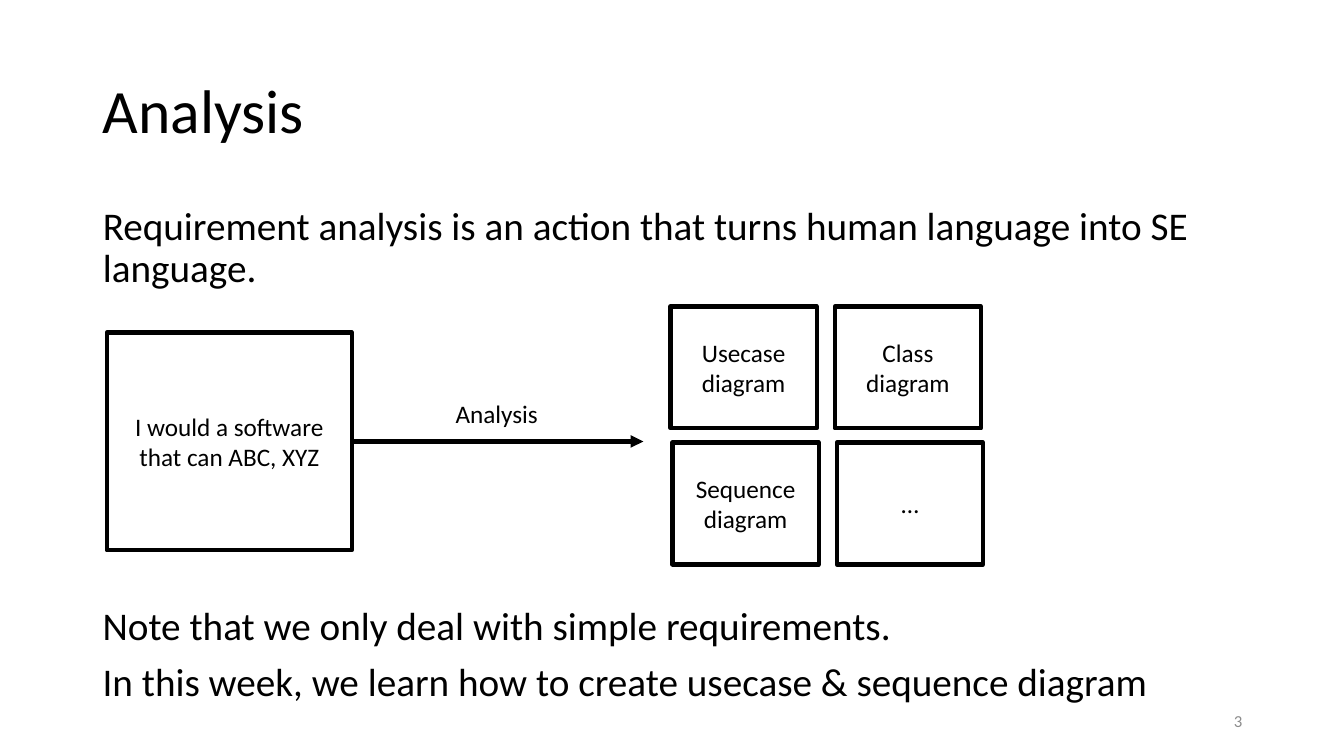
import lxml.etree
import pptx
import pptx.dml.color
import pptx.enum.shapes
import pptx.enum.text
import pptx.oxml.ns
import pptx.util

BLACK = pptx.dml.color.RGBColor(0, 0, 0)
GREY = pptx.dml.color.RGBColor(0x8C, 0x8C, 0x8C)
ALIGN = pptx.enum.text.PP_ALIGN
ANCHOR = pptx.enum.text.MSO_ANCHOR
PX = 9144


def add_tag(parent, tag, **attrs):
    return lxml.etree.SubElement(parent, pptx.oxml.ns.qn(tag), attrs)


class Deck:
    font = "Calibri"
    weight = pptx.util.Pt(3)

    def __init__(self, width, height):
        self.file = pptx.Presentation()
        self.file.slide_width = width * PX
        self.file.slide_height = height * PX
        self.slide = self.file.slides.add_slide(self.file.slide_layouts[1])

    def fill_text(self, shape, lines, size, align=ALIGN.LEFT, anchor=ANCHOR.TOP,
                  color=BLACK, space=1.0, before=0):
        frame = shape.text_frame
        frame.word_wrap = True
        frame.auto_size = pptx.enum.text.MSO_AUTO_SIZE.NONE
        frame.vertical_anchor = anchor
        for i, line in enumerate(lines):
            para = frame.add_paragraph() if i else frame.paragraphs[0]
            props = para._p.get_or_add_pPr()
            props.set("marL", "0")
            props.set("indent", "0")
            add_tag(props, "a:buNone")
            para.alignment = align
            para.line_spacing = space
            para.space_before = pptx.util.Pt(before if i else 0)
            run = para.add_run()
            run.text = line
            run.font.name = self.font
            run.font.size = pptx.util.Pt(size)
            run.font.color.rgb = color

    def holder(self, index, x, y, w, h, lines, size, **style):
        shape = self.slide.placeholders[index]
        shape.left, shape.top, shape.width, shape.height = (
            v * PX for v in (x, y, w, h))
        self.fill_text(shape, lines, size, space=0.9, **style)

    def text(self, x, y, w, h, lines, size, **style):
        shape = self.slide.shapes.add_textbox(x * PX, y * PX, w * PX, h * PX)
        self.fill_text(shape, lines, size, **style)

    def box(self, x, y, w, h, label):
        shape = self.slide.shapes.add_shape(
            pptx.enum.shapes.MSO_SHAPE.RECTANGLE, x * PX, y * PX, w * PX, h * PX)
        shape.shadow.inherit = False
        shape.fill.background()
        shape.line.color.rgb = BLACK
        shape.line.width = self.weight
        self.fill_text(shape, [label], 18, align=ALIGN.CENTER, anchor=ANCHOR.MIDDLE)
        return shape

    def arrow(self, start, side, x, y):
        line = self.slide.shapes.add_connector(
            pptx.enum.shapes.MSO_CONNECTOR.STRAIGHT, 0, 0, x * PX, y * PX)
        line.begin_connect(start, side)
        line.line.color.rgb = BLACK
        line.line.width = self.weight
        props = line._element.spPr
        add_tag(props.find(pptx.oxml.ns.qn("a:ln")), "a:tailEnd", type="triangle")
        add_tag(props, "a:effectLst")


def main():
    deck = Deck(1333, 750)
    deck.holder(0, 92, 40, 1150, 145, ["Analysis"], 44, anchor=ANCHOR.MIDDLE)
    deck.holder(1, 92, 200, 1150, 111, [
        "Requirement analysis is an action that turns human language into SE language."], 28)

    need = deck.box(106, 330, 243, 216, "I would a software that can ABC, XYZ")
    deck.arrow(need, 3, 638, 438)
    models = [["Usecase diagram", "Sequence diagram"], ["Class diagram", "…"]]
    for col, labels in enumerate(models):
        for row, label in enumerate(labels):
            deck.box(665 + 163 * col + 2 * row, 304 + 135 * row, 145, 121, label)

    deck.text(442, 390, 187, 40, ["Analysis"], 18)
    deck.text(92, 597, 1150, 135, [
        "Note that we only deal with simple requirements.",
        "In this week, we learn how to create usecase & sequence diagram",
    ], 28, space=0.9, before=10)
    deck.text(942, 695, 300, 40, ["3"], 12, align=ALIGN.RIGHT,
              anchor=ANCHOR.MIDDLE, color=GREY)
    deck.file.save("out.pptx")


if __name__ == "__main__":
    main()
